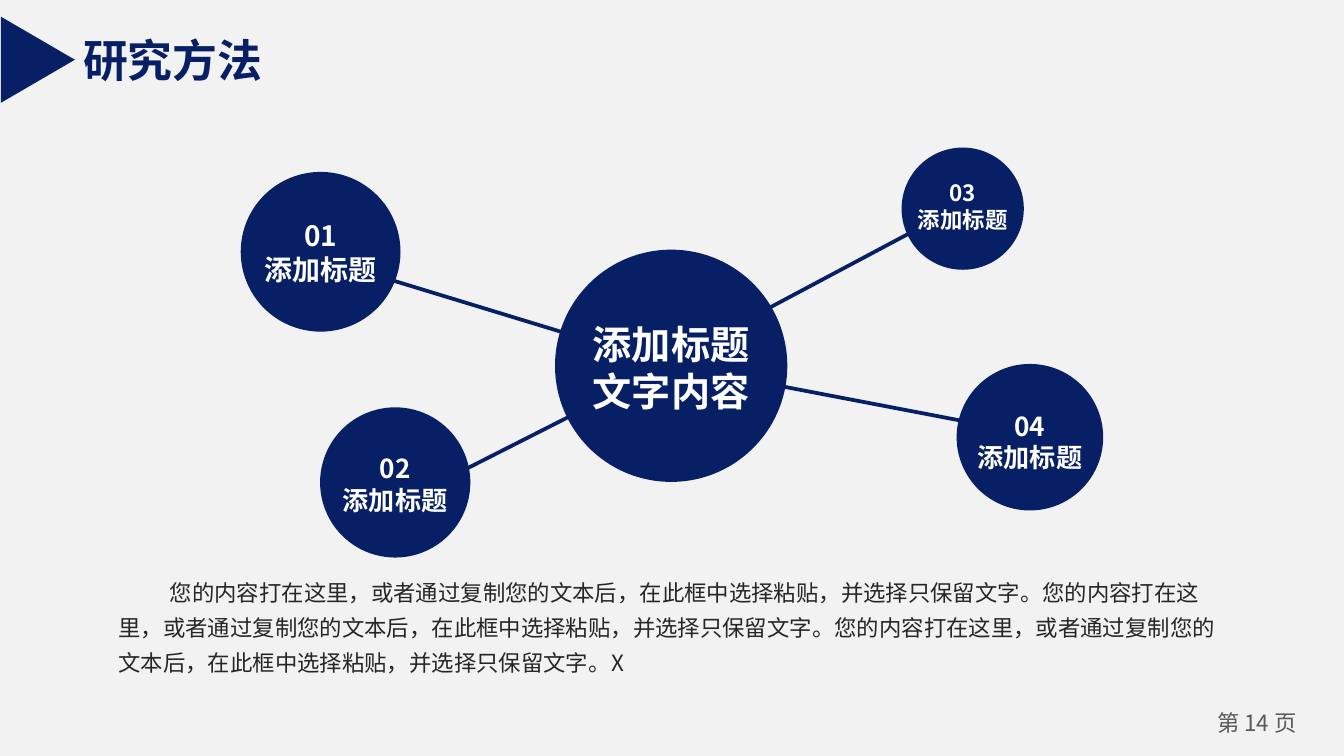
from lxml.etree import SubElement
from pptx import Presentation
from pptx.dml.color import RGBColor
from pptx.enum.shapes import MSO_CONNECTOR as Connector, MSO_SHAPE as Shape
from pptx.enum.text import PP_ALIGN as Align
from pptx.oxml.ns import qn
from pptx.util import Cm, Pt

COLOURS = {"paper": "F2F2F2", "navy": "071F65", "white": "FFFFFF",
           "body": "262626", "page": "595959"}
CJK_FONT = "Noto Sans CJK SC"
CM_PER_POINT = 2.54 / 72


class Style:
    def __init__(self, slide):
        self.slide = slide

    def colour(self, name):
        return RGBColor.from_string(COLOURS[name])

    def background(self, name):
        fill = self.slide.background.fill
        fill.solid()
        fill.fore_color.rgb = self.colour(name)

    def shape(self, kind, left, top, width, height, parent=None):
        shape = (parent or self.slide).shapes.add_shape(
            kind, Cm(left), Cm(top), Cm(width), Cm(height))
        shape.shadow.inherit = False
        shape.fill.solid()
        shape.fill.fore_color.rgb = self.colour("navy")
        shape.line.fill.background()
        return shape

    def text(self, text, left, top, width, height, size, colour, parent=None,
             font=CJK_FONT, bold=False, align=None, wrap=True, inset=(0.25, 0.13)):
        box = (parent or self.slide).shapes.add_textbox(
            Cm(left), Cm(top), Cm(width), Cm(height))
        frame = box.text_frame
        frame.word_wrap = wrap
        frame.margin_left = frame.margin_right = Cm(inset[0])
        frame.margin_top = frame.margin_bottom = Cm(inset[1])
        frame.text = text
        for para in frame.paragraphs:
            para.alignment = align
            for span in para.runs:
                span.font.size = Pt(size)
                span.font.bold = bold
                span.font.color.rgb = self.colour(colour)
                span.font.name = font
                SubElement(span.font._element, qn("a:ea"), typeface=CJK_FONT)
        return box

    def line(self, start, end):
        line = self.slide.shapes.add_connector(
            Connector.STRAIGHT, *(Cm(value) for value in start + end))
        line.line.color.rgb = self.colour("navy")
        line.line.width = Pt(2)
        SubElement(line._element.spPr, qn("a:effectLst"))

    def bubble(self, text, left, top, diameter, label_top, size, label_scale=1.5):
        group = self.slide.shapes.add_group_shape()
        self.shape(Shape.OVAL, left, top, diameter, diameter, group)
        width = diameter * label_scale
        height = 2 * 1.2 * size * CM_PER_POINT + 0.25
        self.text(text, left + (diameter - width) / 2, label_top, width, height,
                  size, "white", group, bold=True, align=Align.CENTER)


deck = Presentation()
deck.slide_width, deck.slide_height = Cm(25.4), Cm(14.29)
page = Style(deck.slides.add_slide(deck.slide_layouts[6]))
page.background("paper")

# Page number
page.text("第 14 页", 22.61, 13.31, 2.29, 0.76, 12, "page",
          align=Align.CENTER, inset=(0.18, 0.1))

# Spokes, drawn behind the bubbles
for start, end in [((6.96, 5.16), (12.6, 6.88)), ((8.56, 8.99), (12.62, 6.93)),
                   ((12.45, 6.93), (17.75, 4.11)), ((12.57, 6.88), (19.46, 8.2))]:
    page.line(start, end)

# Body text
sentence = "您的内容打在这里，或者通过复制您的文本后，在此框中选择粘贴，并选择只保留文字。"
body = page.text(sentence * 3 + "X", 2.06, 10.69, 21.21, 2.18, 12, "body",
                 inset=(0.18, 0.1))
para = body.text_frame.paragraphs[0]
para.line_spacing = 1.3
para._p.get_or_add_pPr().set("indent", str(Cm(0.97)))

# Hub and its four bubbles
page.bubble("添加标题\n文字内容", 10.49, 4.72, 4.39, 5.92, 21, label_scale=1)
for number, left, top, diameter, label_top, size in [
        ("03", 17.04, 2.79, 2.31, 3.25, 12),
        ("01", 4.55, 3.25, 3.02, 4.01, 15),
        ("04", 18.08, 6.88, 2.77, 7.62, 14),
        ("02", 6.05, 7.7, 2.84, 8.43, 14)]:
    page.bubble(number + "\n添加标题", left, top, diameter, label_top, size)

# Heading and its marker
page.text("研究方法", 1.32, 0.48, 3.94, 1.27, 24, "navy",
          font="Arial", bold=True, wrap=False)
marker = page.shape(Shape.ISOSCELES_TRIANGLE, -0.1, 0.43, 1.63, 1.4)
marker.rotation = 90

deck.save("out.pptx")
